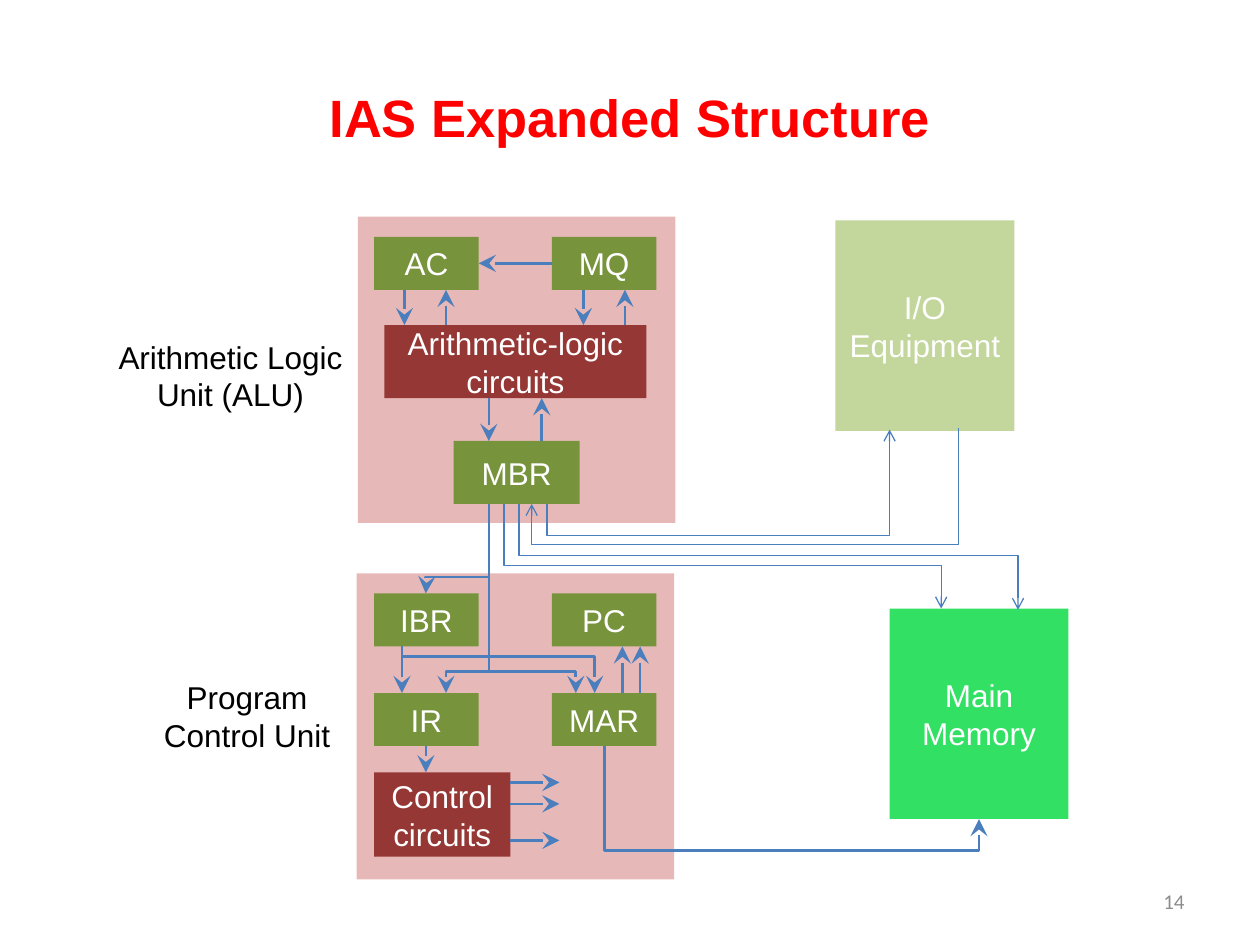
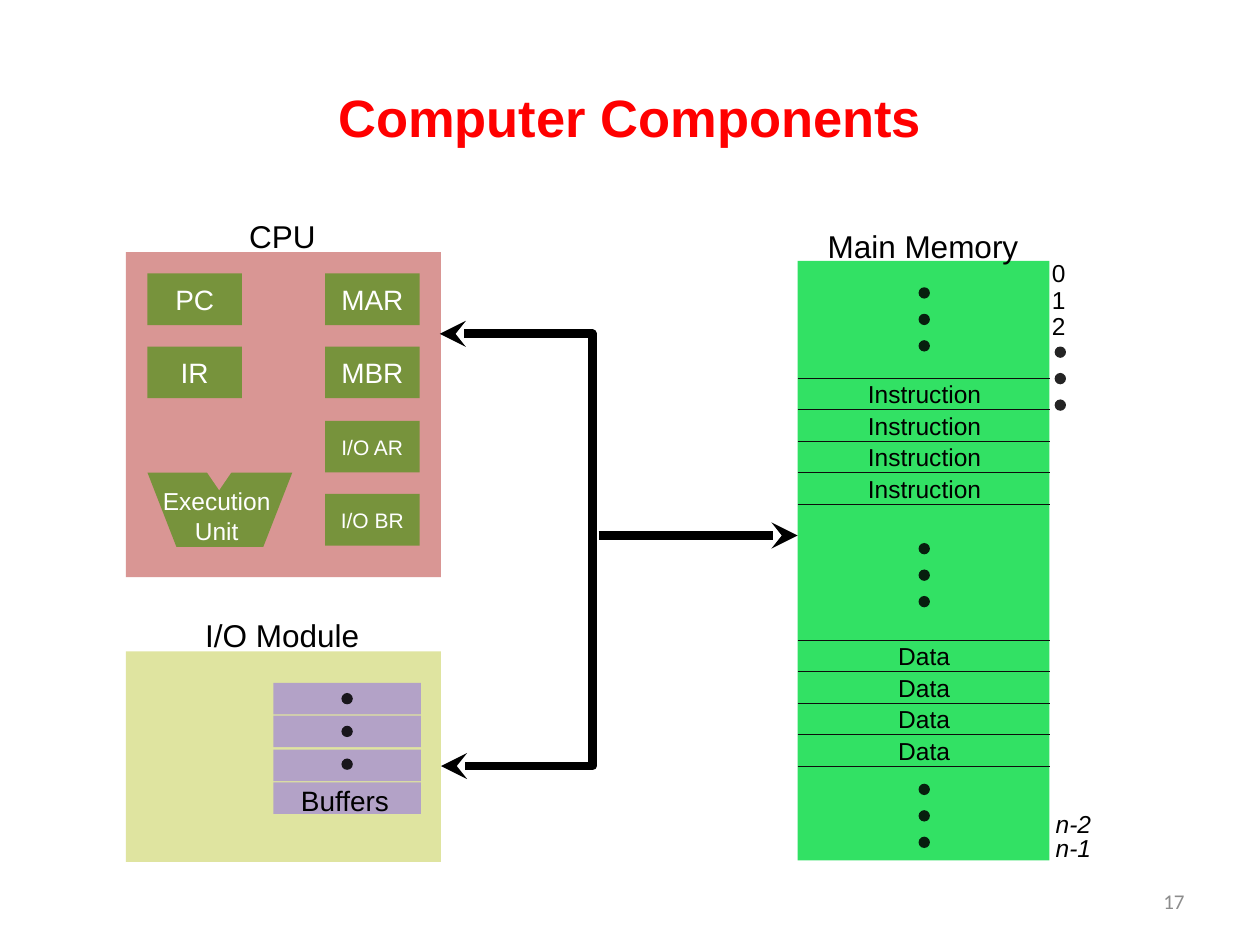
from dataclasses import dataclass

from lxml.etree import SubElement
from pptx import Presentation
from pptx.dml.color import RGBColor
from pptx.enum.shapes import MSO_CONNECTOR as Link, MSO_SHAPE as Preset
from pptx.enum.text import MSO_ANCHOR as Anchor, MSO_AUTO_SIZE as AutoSize, PP_ALIGN as Align
from pptx.oxml.ns import qn
from pptx.util import Emu, Pt

EMU_PER_PX = 9144


@dataclass(frozen=True)
class Theme:
    font: str = "Arial"
    number_font: str = "Calibri"
    title: str = "FF0000"
    black: str = "000000"
    white: str = "FFFFFF"
    number: str = "8C8C8C"
    unit: str = "E6B9B8"
    cpu: str = "D99694"
    register: str = "77933C"
    circuits: str = "953735"
    io_equipment: str = "C3D69B"
    io_module: str = "DFE4A0"
    buffer: str = "B3A2C7"
    memory: str = "32E164"
    wire: str = "4B7EBC"
    divider: str = "0D0D0D"
    title_size: int = 30
    body_size: int = 18
    register_size: int = 16
    cell_size: int = 14
    small_size: int = 12


THEME = Theme()


def px(*lengths):
    return [Emu(length * EMU_PER_PX) for length in lengths]


def rgb(colour):
    return RGBColor.from_string(colour)


def format_text(frame, size, colour, align=Align.CENTER, font=THEME.font, bold=False, italic=False):
    for paragraph in frame.paragraphs:
        paragraph.alignment = align
        for run in paragraph.runs:
            run.font.name = font
            run.font.size = Pt(size)
            run.font.color.rgb = rgb(colour)
            run.font.bold = bold
            run.font.italic = italic


def add_block(slide, box, fill, text="", size=THEME.body_size, preset=Preset.RECTANGLE):
    block = slide.shapes.add_shape(preset, *px(*box))
    block.shadow.inherit = False
    block.fill.solid()
    block.fill.fore_color.rgb = rgb(fill)
    block.line.fill.background()
    if text:
        block.text_frame.text = text
        block.text_frame.vertical_anchor = Anchor.MIDDLE
        format_text(block.text_frame, size, THEME.white)
    return block


def add_label(slide, box, text, size=THEME.body_size, colour=THEME.black, wrap=False, italic=False):
    frame = slide.shapes.add_textbox(*px(*box)).text_frame
    frame.text = text
    frame.word_wrap = wrap
    frame.auto_size = AutoSize.SHAPE_TO_FIT_TEXT
    format_text(frame, size, colour, Align.CENTER if wrap else Align.LEFT, italic=italic)


def add_dots(slide, left, top, step=21):
    for row in range(3):
        dot = add_block(slide, (left, top + row * step, 9, 9), THEME.black, preset=Preset.OVAL)
        tint = dot.fill._xPr.find(qn("a:solidFill"))[0]
        SubElement(tint, qn("a:alpha"), val="86000")


def style_line(line, colour, width, head=None, tail=None, reach="med"):
    line.line.color.rgb = rgb(colour)
    line.line.width = Pt(width)
    outline = line.line._get_or_add_ln()
    for end, kind in (("a:headEnd", head), ("a:tailEnd", tail)):
        if kind:
            SubElement(outline, qn(end), type=kind, w=reach, len=reach)
    SubElement(line._element.spPr, qn("a:effectLst"))


def add_line(slide, start, end, colour, width, **ends):
    line = slide.shapes.add_connector(Link.STRAIGHT, *px(*start, *end))
    style_line(line, colour, width, **ends)


def set_bend(elbow, share):
    guides = elbow._element.spPr.find(qn("a:prstGeom")).get_or_add_avLst()
    SubElement(guides, qn("a:gd"), name="adj1", fmla=f"val {round(share * 100000)}")


def add_elbow_across(slide, start, end, bend_x, colour, width, **ends):
    elbow = slide.shapes.add_connector(Link.ELBOW, *px(*start, *end))
    set_bend(elbow, (bend_x - start[0]) / (end[0] - start[0]))
    style_line(elbow, colour, width, **ends)


def add_elbow_down(slide, start, end, bend_y, colour, width, **ends):
    run, drop = end[0] - start[0], end[1] - start[1]
    elbow = slide.shapes.add_connector(Link.ELBOW, *px(0, 0, abs(drop), abs(run)))
    elbow.left, elbow.top = (Emu(round(edge * EMU_PER_PX)) for edge in (
        (start[0] + end[0] - abs(drop)) / 2, (start[1] + end[1] - abs(run)) / 2))
    turn = elbow._element.spPr.find(qn("a:xfrm"))
    turn.set("rot", "5400000")
    turn.set("flipH", str(int(drop < 0)))
    turn.set("flipV", str(int(run > 0)))
    set_bend(elbow, (bend_y - start[1]) / drop)
    style_line(elbow, colour, width, **ends)


def add_titled_slide(deck, title, number):
    slide = deck.slides.add_slide(deck.slide_layouts[5])
    heading = slide.shapes.title
    heading.left, heading.top, heading.width, heading.height = px(50, 30, 900, 125)
    heading.text_frame.text = title
    heading.text_frame.vertical_anchor = Anchor.MIDDLE
    format_text(heading.text_frame, THEME.title_size, THEME.title, bold=True)
    footer = slide.shapes.add_textbox(*px(717, 695, 233, 40)).text_frame
    footer.text = number
    footer.word_wrap = True
    footer.vertical_anchor = Anchor.MIDDLE
    format_text(footer, THEME.small_size, THEME.number, Align.RIGHT, THEME.number_font)
    return slide


def build_ias_structure(deck):
    slide = add_titled_slide(deck, "IAS Expanded Structure", "14")
    for box in ((283, 455, 252, 243), (284, 172, 252, 243)):
        add_block(slide, box, THEME.unit)
    add_block(slide, (663, 175, 142, 167), THEME.io_equipment, "I/O Equipment")
    add_block(slide, (706, 483, 142, 167), THEME.memory, "Main Memory")
    for top, names in ((188, ("AC", "MQ")), (471, ("IBR", "PC")), (550, ("IR", "MAR"))):
        for left, name in zip((297, 438), names):
            add_block(slide, (left, top, 83, 42), THEME.register, name)
    add_block(slide, (360, 350, 100, 50), THEME.register, "MBR")
    add_block(slide, (305, 258, 208, 58), THEME.circuits, "Arithmetic-logic circuits")
    add_block(slide, (297, 613, 108, 67), THEME.circuits, "Control circuits")

    bus = dict(colour=THEME.wire, width=1.5, tail="stealth", reach="lg")
    arrows = [((438, 209), (380, 209)), ((388, 316), (388, 350)), ((430, 350), (430, 316)),
              ((338, 592), (338, 613)), ((319, 513), (319, 550))]
    arrows += [((x, 230), (x, 258)) for x in (321, 463)]
    arrows += [((x, 258), (x, 230)) for x in (354, 496)]
    arrows += [((x, 550), (x, 513)) for x in (494, 508)]
    arrows += [((405, y), (444, y)) for y in (621, 638, 667)]
    for start, end in arrows:
        add_line(slide, start, end, **bus)

    add_elbow_down(slide, (388, 400), (354, 550), 533, **bus)
    add_elbow_down(slide, (480, 592), (777, 650), 675, **bus)
    for start, end in (((354, 533), (457, 550)), ((319, 521), (472, 550)), ((388, 458), (338, 471))):
        add_elbow_across(slide, start, end, end[0], **bus)
    for start, end, bend_y in (
            ((412, 400), (808, 484), 441), ((400, 400), (747, 483), 449),
            ((761, 340), (422, 400), 432), ((434, 400), (706, 341), 425)):
        add_elbow_down(slide, start, end, bend_y, THEME.wire, 0.75, tail="arrow")

    add_label(slide, (83, 263, 200, 71), "Arithmetic Logic Unit (ALU)", wrap=True)
    add_label(slide, (117, 533, 158, 71), "Program Control Unit", wrap=True)


def add_cpu(slide):
    add_block(slide, (100, 200, 250, 258), THEME.cpu)
    add_label(slide, (188, 167, 73, 40), "CPU")
    big, small = THEME.register_size, THEME.small_size
    columns = ((117, (("PC", big), ("IR", big))),
               (258, (("MAR", big), ("MBR", big), ("I/O AR", small), ("I/O BR", small))))
    for left, registers in columns:
        for row, (name, size) in enumerate(registers):
            add_block(slide, (left, 217 + round(row * 175 / 3), 75, 41), THEME.register, name, size)
    add_block(slide, (117, 375, 115, 59), THEME.register, preset=Preset.FLOWCHART_MANUAL_OPERATION)
    add_block(slide, (161, 370, 26, 19), THEME.cpu, preset=Preset.FLOWCHART_MERGE)
    add_label(slide, (107, 381, 130, 57), "Execution Unit", THEME.cell_size, THEME.white, wrap=True)


def add_io_module(slide):
    add_block(slide, (100, 517, 250, 167), THEME.io_module)
    add_label(slide, (153, 484, 144, 40), "I/O Module")
    for row in range(4):
        add_block(slide, (217, 542 + round(row * 79 / 3), 117, 25), THEME.buffer)
    add_dots(slide, 271, 550, step=26)
    add_label(slide, (229, 617, 91, 37), "Buffers", THEME.register_size)


def add_memory(slide):
    add_block(slide, (633, 207, 200, 476), THEME.memory)
    add_label(slide, (647, 175, 173, 40), "Main Memory")
    for top, content, left, width in ((300, "Instruction", 679, 110), (508, "Data", 703, 62)):
        for row in range(5):
            y = top + row * 25
            add_line(slide, (633, y), (833, y), THEME.divider, 0.25)
            if row < 4:
                add_label(slide, (left, y - 4, width, 34), content, THEME.cell_size)
    for address in range(3):
        add_label(slide, (825, 200 + address * 21, 31, 34), str(address), THEME.cell_size)
    for top, address in ((637, "n-2"), (656, "n-1")):
        add_label(slide, (828, top, 48, 34), address, THEME.cell_size, italic=True)
    for left, top in ((837, 275), (729, 228), (729, 431), (729, 622)):
        add_dots(slide, left, top)


def build_components(deck):
    slide = add_titled_slide(deck, "Computer Components", "17")
    add_cpu(slide)
    add_io_module(slide)
    add_memory(slide)
    add_elbow_across(slide, (349, 265), (350, 608), 472, THEME.black, 5, head="stealth", tail="stealth")
    add_line(slide, (475, 425), (633, 425), THEME.black, 5, tail="stealth")


def main():
    deck = Presentation()
    deck.slide_width, deck.slide_height = px(1000, 750)
    build_ias_structure(deck)
    build_components(deck)
    deck.save("out.pptx")


if __name__ == "__main__":
    main()
